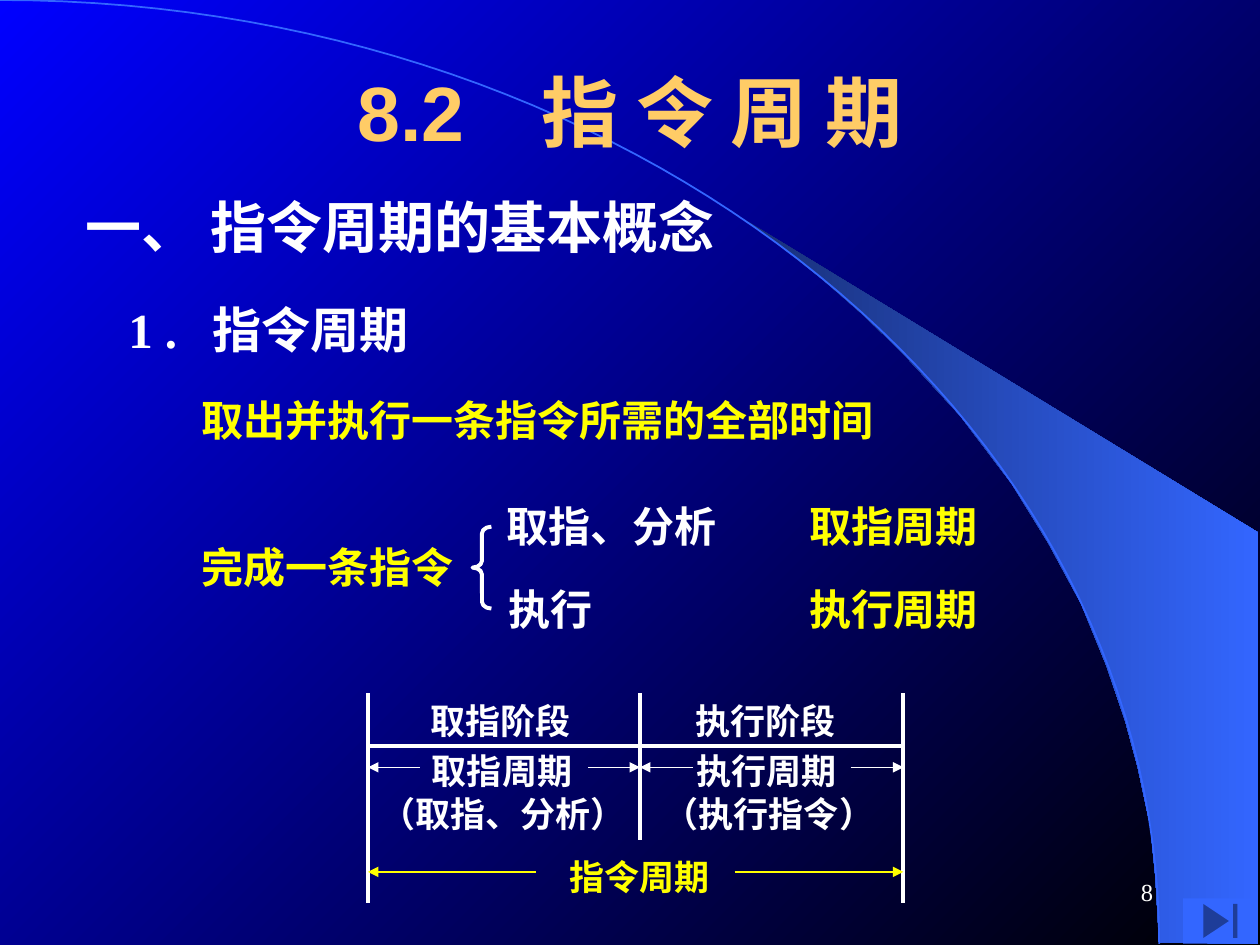
from dataclasses import dataclass

from lxml import etree
from pptx import Presentation
from pptx import util as u
from pptx.dml import color
from pptx.enum import shapes, text
from pptx.oxml import ns


@dataclass(frozen=True)
class Theme:
    """Colours, fonts and type sizes of the slide."""

    white: str = "FFFFFF"
    yellow: str = "FFFF00"
    gold: str = "FFCC66"
    accent: str = "3366FF"
    shade: str = "182F76"
    blue: str = "0000FF"
    black: str = "000000"
    heading_font: str = "Arial"
    body_font: str = "Times New Roman"
    title: int = 44
    section: int = 32
    topic: int = 28
    body: int = 24
    label: int = 20
    number: int = 14


THEME = Theme()

WEDGE = [
    (9.2, 7.48), (9.99, 7.49), (9.99, 4.23), (5.89, 1.73), (6.24, 1.99),
    (6.53, 2.22), (6.85, 2.5), (7.16, 2.8), (7.62, 3.3), (8.03, 3.84),
    (8.32, 4.31), (8.58, 4.79), (8.78, 5.28), (8.93, 5.72), (9.03, 6.09),
    (9.13, 6.56), (9.17, 6.96),
]
ARC = [(0, 0), (5.08, 0), (9.2, 3.35), (9.2, 7.49)]
LEFT, MIDDLE, RIGHT = 2.92, 5.08, 7.17
TOP, AXIS, BOTTOM = 5.5, 5.92, 7.17
PHASE_ROW, CYCLE_ROW = 6.09, 6.92


def rgb(value):
    """Turn a hex string into a colour."""
    return color.RGBColor.from_string(value)


def apply(target, values):
    """Set each named attribute of the target."""
    for name, value in values.items():
        setattr(target, name, value)


def set_gradient(fill, start, end, angle):
    """Give a fill a linear gradient of two colours."""
    fill.gradient()
    fill.gradient_angle = angle
    for stop, value in zip(fill.gradient_stops, (start, end)):
        stop.color.rgb = rgb(value)


def set_line(line, value, width):
    """Give a line its colour and width."""
    line.color.rgb = rgb(value)
    line.width = u.Pt(width)


def add_text(slide, words, left, top, width, size, ink=THEME.white, height=None,
             font=THEME.body_font, bold=True, wrap=True, tab=None,
             align=text.PP_ALIGN.LEFT, anchor=text.MSO_ANCHOR.TOP):
    """Add one line of text, by default in a box one line high."""
    height = height or round(size * 1.2 / 72 + 0.1, 2)
    shape = slide.shapes.add_textbox(*map(u.Inches, (left, top, width, height)))
    frame = shape.text_frame
    apply(frame, {"word_wrap": wrap, "vertical_anchor": anchor})
    paragraph = frame.paragraphs[0]
    paragraph.alignment = align
    if tab:
        stops = etree.SubElement(paragraph._p.get_or_add_pPr(), ns.qn("a:tabLst"))
        etree.SubElement(stops, ns.qn("a:tab"), pos=str(u.Inches(tab)), algn="l")
    run = paragraph.add_run()
    run.text = words
    apply(run.font, {"name": font, "size": u.Pt(size), "bold": bold})
    run.font.color.rgb = rgb(ink)


def add_line(slide, start, end, ink=THEME.white, width=2.25, arrow=False):
    """Add a straight line, with an arrowhead at its end on request."""
    connector = slide.shapes.add_connector(
        shapes.MSO_CONNECTOR.STRAIGHT, *map(u.Inches, (*start, *end)))
    set_line(connector.line, ink, width)
    properties = connector.element.spPr
    if arrow:
        etree.SubElement(properties.find(ns.qn("a:ln")), ns.qn("a:tailEnd"),
                         type="triangle")
    etree.SubElement(properties, ns.qn("a:effectLst"))


def add_outline(slide, points, close):
    """Add a freeform through points given in inches."""
    first, *rest = [tuple(map(u.Inches, point)) for point in points]
    builder = slide.shapes.build_freeform(*first)
    builder.add_line_segments(rest, close=close)
    shape = builder.convert_to_shape()
    shape.shadow.inherit = False
    return shape


def curve_points(controls, steps=60):
    """List points along a cubic curve."""
    points = []
    for step in range(steps + 1):
        t = step / steps
        weights = ((1 - t) ** 3, 3 * t * (1 - t) ** 2, 3 * t * t * (1 - t), t ** 3)
        points.append(tuple(sum(w * value for w, value in zip(weights, axis))
                            for axis in zip(*controls)))
    return points


def add_preset(slide, kind, left, top, width, height):
    """Add a preset shape without a shadow."""
    shape = slide.shapes.add_shape(kind, *map(u.Inches, (left, top, width, height)))
    shape.shadow.inherit = False
    return shape


def add_backdrop(slide):
    """Draw the gradient background, the wedge and the arc."""
    set_gradient(slide.background.fill, THEME.blue, THEME.black, 315)
    wedge = add_outline(slide, WEDGE, close=True)
    set_gradient(wedge.fill, THEME.shade, THEME.accent, 0)
    wedge.line.fill.background()
    arc = add_outline(slide, curve_points(ARC), close=False)
    arc.fill.background()
    set_line(arc.line, THEME.accent, 1)


def add_concept(slide):
    """Add the headings, the definition and the braced list."""
    add_text(slide, "8.2　指 令 周 期", 0.75, 0.25, 8.5, THEME.title, THEME.gold,
             height=1.25, font=THEME.heading_font,
             align=text.PP_ALIGN.CENTER, anchor=text.MSO_ANCHOR.MIDDLE)
    add_text(slide, "一、 指令周期的基本概念", 0.58, 1.48, 6.25, THEME.section)
    add_text(slide, "1 .\t指令周期", 0.92, 2.33, 6.25, THEME.topic, tab=0.67)
    for words, left, top, width, ink in (
        ("取出并执行一条指令所需的全部时间", 1.5, 3.08, 6.25, THEME.yellow),
        ("完成一条指令", 1.5, 4.25, 3, THEME.yellow),
        ("取指、分析", 3.92, 3.92, 2.17, THEME.white),
        ("执行", 3.94, 4.58, 1.72, THEME.white),
        ("取指周期", 6.33, 3.92, 2, THEME.yellow),
        ("执行周期", 6.33, 4.58, 2, THEME.yellow),
    ):
        add_text(slide, words, left, top, width, THEME.body, ink)
    brace = add_preset(slide, shapes.MSO_SHAPE.LEFT_BRACE, 3.75, 4.18, 0.15, 0.65)
    brace.adjustments[0] = 0.36
    brace.fill.background()
    set_line(brace.line, THEME.white, 2.25)


def add_timeline(slide):
    """Draw the two phases of the instruction cycle."""
    for words, left, top, width, ink in (
        ("取指阶段", 3.32, 5.5, 1.31, THEME.white),
        ("取指周期", 3.33, 5.9, 1.31, THEME.white),
        ("（取指、分析）", 2.92, 6.24, 2.15, THEME.white),
        ("执行阶段", 5.42, 5.5, 1.31, THEME.white),
        ("执行周期", 5.43, 5.9, 1.31, THEME.white),
        ("（执行指令）", 5.17, 6.24, 1.87, THEME.white),
        ("指令周期", 4.42, 6.74, 1.31, THEME.yellow),
    ):
        add_text(slide, words, left, top, width, THEME.label, ink, wrap=False)
    add_line(slide, (LEFT, AXIS), (RIGHT, AXIS))
    for x, bottom in ((LEFT, BOTTOM), (MIDDLE, 6.67), (RIGHT, BOTTOM)):
        add_line(slide, (x, TOP), (x, bottom))
    for start, end, row, ink in (
        (3.33, LEFT, PHASE_ROW, THEME.white),
        (4.67, MIDDLE, PHASE_ROW, THEME.white),
        (5.5, MIDDLE, PHASE_ROW, THEME.white),
        (6.75, RIGHT, PHASE_ROW, THEME.white),
        (4.25, LEFT, CYCLE_ROW, THEME.yellow),
        (5.83, RIGHT, CYCLE_ROW, THEME.yellow),
    ):
        add_line(slide, (start, row), (end, row), ink, 0.75, arrow=True)


def add_footer(slide):
    """Add the end button and the slide number."""
    button = add_preset(slide, shapes.MSO_SHAPE.ACTION_BUTTON_END,
                        9.39, 7.13, 0.59, 0.36)
    button.fill.solid()
    button.fill.fore_color.rgb = rgb(THEME.accent)
    button.line.fill.background()
    add_text(slide, "8", 7.17, 6.83, 2.08, THEME.number, height=0.5, bold=False,
             align=text.PP_ALIGN.RIGHT, anchor=text.MSO_ANCHOR.MIDDLE)


def main():
    """Build the slide and save it."""
    presentation = Presentation()
    apply(presentation, {"slide_width": u.Inches(10), "slide_height": u.Inches(7.5)})
    slide = presentation.slides.add_slide(presentation.slide_layouts[6])
    for add_part in (add_backdrop, add_concept, add_timeline, add_footer):
        add_part(slide)
    presentation.save("out.pptx")


if __name__ == "__main__":
    main()
